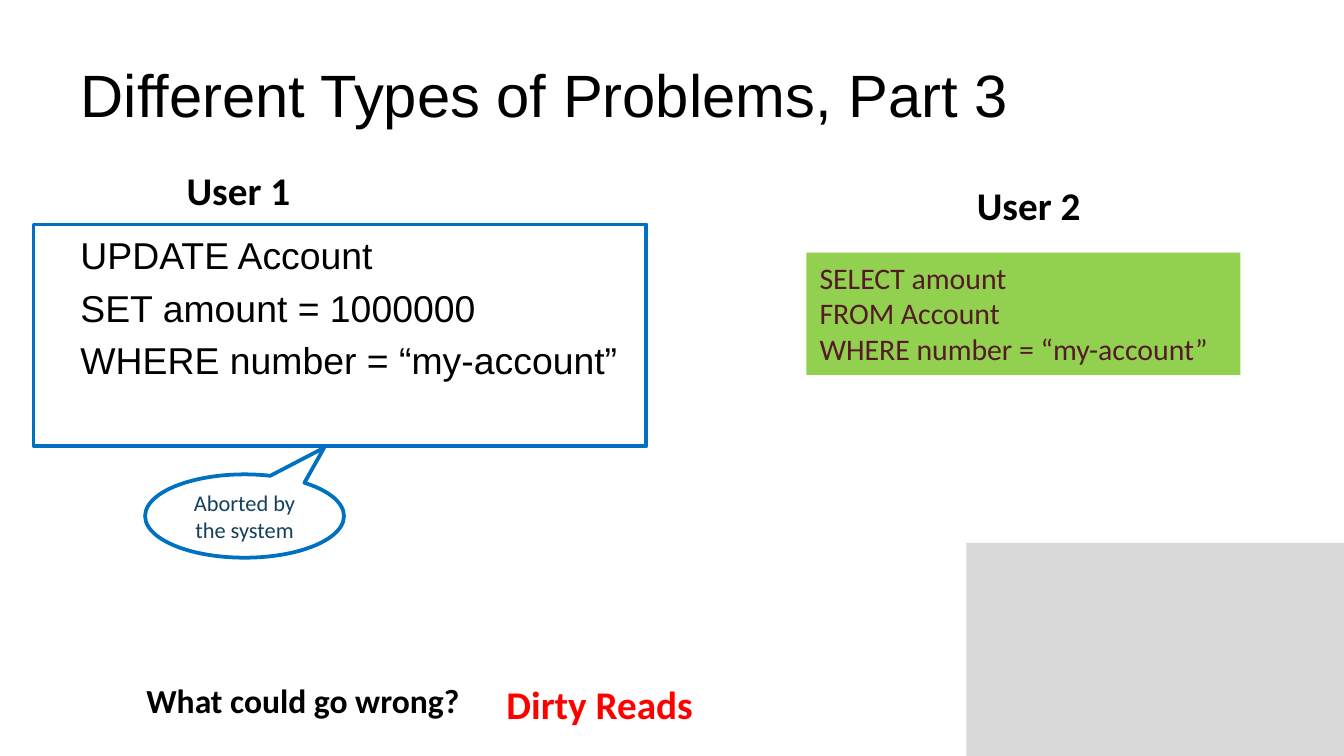
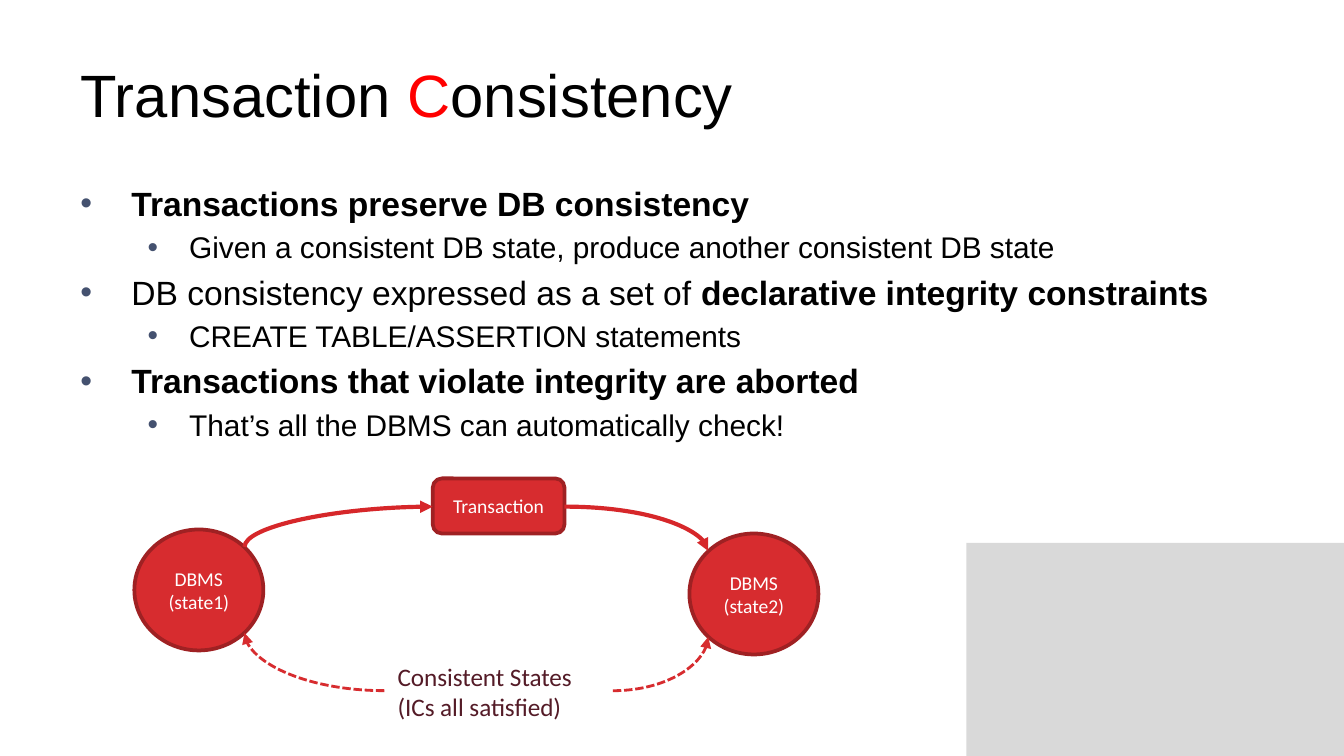
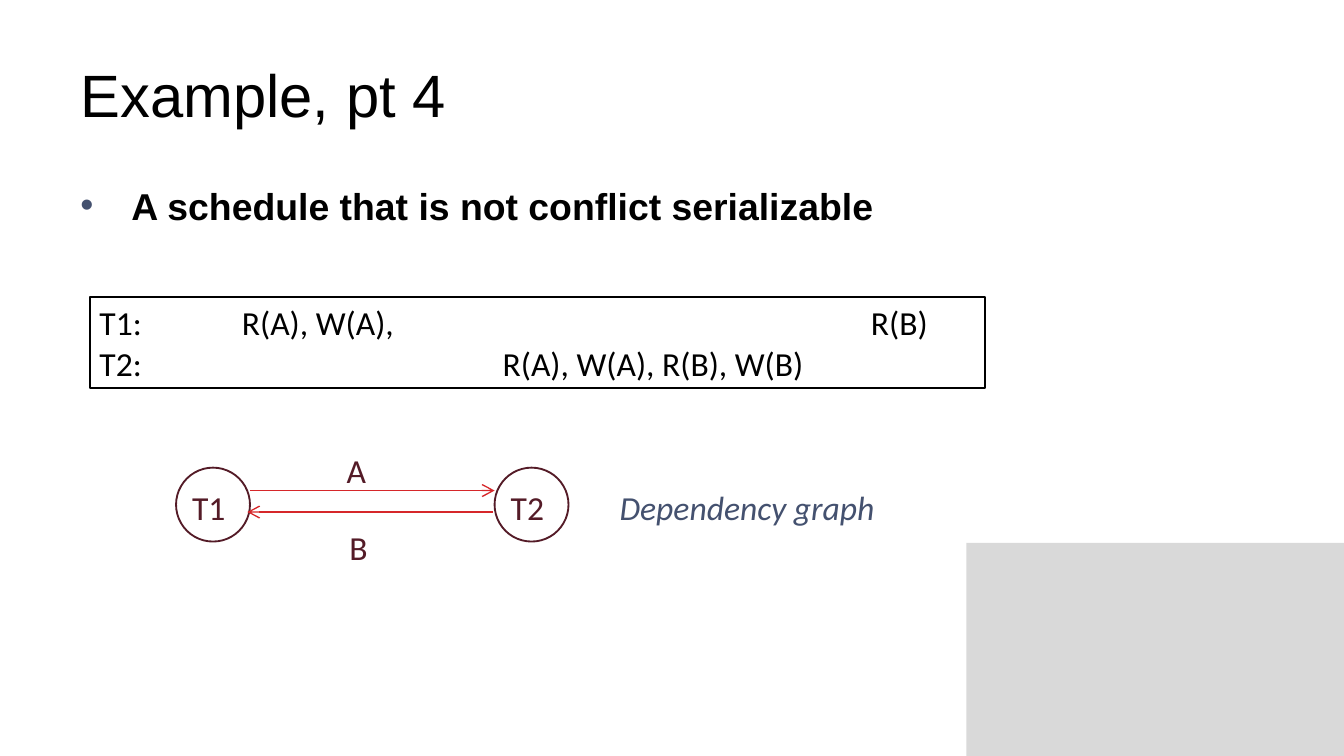
from lxml import etree
from pptx import Presentation
from pptx.dml.color import RGBColor
from pptx.enum import dml, shapes as sh, text as tx
from pptx.oxml.ns import qn
from pptx.util import Inches, Pt

HUES = {
    "black": "000000", "white": "FFFFFF", "grey": "D9D9D9", "alert": "FF0000",
    "blue": "0070C0", "navy": "14405C", "green": "92D050", "wine": "541B27",
    "slate": "44516F", "red": "D72C2F", "edge": "9F2123", "arrow": "D6272A",
}
# Shared text formats
TITLE = dict(name="Arial", size=32, hue="black")
BODY = dict(TITLE, size=20)
LABEL = dict(name="Calibri", size=18, hue="black")
HEAD = dict(LABEL, size=21, bold=True)
CODE = dict(LABEL, size=16, hue="wine")
NODE = dict(LABEL, size=10.5, hue="white")
MARK = dict(LABEL, hue="wine")
BOLD = {"bold": True}
TIGHT = (0.07, 0.04)
KIND = sh.MSO_SHAPE
MID = tx.MSO_ANCHOR.MIDDLE
LEFT, CENTER = tx.PP_ALIGN.LEFT, tx.PP_ALIGN.CENTER


def rgb(hue):
    return RGBColor.from_string(HUES[hue])


def style(font, form):
    for key, val in form.items():
        if key == "hue":
            font.color.rgb = rgb(val)
        else:
            setattr(font, key, Pt(val) if key == "size" else val)


def write(frame, paras, form, align=LEFT, anchor=tx.MSO_ANCHOR.TOP,
          wrap=True, pad=(0.1, 0.05)):
    """Each paragraph is a string or a list of (string, changes) runs."""
    frame.word_wrap = wrap
    frame.vertical_anchor = anchor
    frame.margin_left = frame.margin_right = Inches(pad[0])
    frame.margin_top = frame.margin_bottom = Inches(pad[1])
    for num, para in enumerate(paras):
        line = frame.add_paragraph() if num else frame.paragraphs[0]
        line.alignment = align
        for words, diff in [(para, {})] if isinstance(para, str) else para:
            run = line.add_run()
            run.text = words
            style(run.font, {**form, **diff})
    return frame.paragraphs


def label(slide, box, paras, form, **opts):
    area = slide.shapes.add_textbox(*map(Inches, box))
    return write(area.text_frame, paras, form, **opts)


def shape(slide, kind, box, fill=None, line=None, width=1):
    item = slide.shapes.add_shape(kind, *map(Inches, box))
    item.shadow.inherit = False
    if fill:
        item.fill.solid()
        item.fill.fore_color.rgb = rgb(fill)
    else:
        item.fill.background()
    if line:
        item.line.color.rgb = rgb(line)
        item.line.width = Pt(width)
    else:
        item.line.fill.background()
    return item


def arrow(slide, start, end, hue="arrow", width=0.75, tip="arrow",
          side="tailEnd", curve=False, dash=False):
    kind = sh.MSO_CONNECTOR.CURVE if curve else sh.MSO_CONNECTOR.STRAIGHT
    link = slide.shapes.add_connector(kind, *map(Inches, start + end))
    link.line.color.rgb = rgb(hue)
    link.line.width = Pt(width)
    if dash:
        link.line.dash_style = dml.MSO_LINE.SQUARE_DOT
    props = link._element.spPr
    if curve:  # quarter arc: leaves level, arrives upright
        props.find(qn("a:prstGeom")).set("prst", "curvedConnector2")
    etree.SubElement(props.find(qn("a:ln")), qn("a:" + side), type=tip)
    etree.SubElement(props, qn("a:effectLst"))


def bullet(para, left, hang):
    props = para._p.get_or_add_pPr()
    props.set("marL", str(Inches(left)))
    props.set("indent", str(-Inches(hang)))
    tint = etree.SubElement(props, qn("a:buClr"))
    etree.SubElement(tint, qn("a:srgbClr"), val=HUES["slate"])
    etree.SubElement(props, qn("a:buFont"), typeface="Arial")
    etree.SubElement(props, qn("a:buChar"), char="•")


def tabs(para, stops):
    group = etree.SubElement(para._p.get_or_add_pPr(), qn("a:tabLst"))
    for stop in stops:
        etree.SubElement(group, qn("a:tab"), pos=str(Inches(stop)), algn="l")


def points(slide, box, items):
    """Items are (level, size, runs)."""
    paras = [[(words, dict(diff, size=size)) for words, diff in runs]
             for _, size, runs in items]
    lines = label(slide, box, paras, BODY)
    for num, (line, (level, size, _)) in enumerate(zip(lines, items)):
        bullet(line, *((0.81, 0.31) if level else (0.38, 0.38)))
        if num:
            line.space_before = Pt(size / 5)


def base(deck, runs):
    """Title and corner block that every slide has."""
    slide = deck.slides.add_slide(deck.slide_layouts[5])
    shape(slide, KIND.RECTANGLE, (7.19, 4.04, 2.81, 1.59), "grey")
    head = slide.shapes.title
    for key, val in zip(("left", "top", "width", "height"),
                        (0.5, 0.23, 9, 0.94)):
        setattr(head, key, Inches(val))
    write(head.text_frame, [runs], TITLE, anchor=MID)
    return slide


# Slide 1: two users
def writer(slide, x, y):
    lines = label(slide, (x + 0.25, y + 0.49, 9, 3.71),
                  ["UPDATE Account", "SET amount = 1000000",
                   "WHERE number = “my-account”"], BODY)
    for line in lines[1:]:
        line.space_before = Pt(4)
    label(slide, (x + 1.04, y, 0.98, 0.45), ["User 1"], HEAD, wrap=False)
    shape(slide, KIND.RECTANGLE, (x, y + 0.48, 4.56, 1.65), None, "blue", 2)
    note = shape(slide, KIND.OVAL_CALLOUT, (x + 0.83, y + 2.34, 1.48, 0.62),
                 "white", "blue", 2)
    note.adjustments[0], note.adjustments[1] = 0.4, -0.82
    write(note.text_frame, ["Aborted by the system"],
          dict(LABEL, size=12, hue="navy"), align=CENTER, anchor=MID)


def reader(slide, x, y):
    label(slide, (x + 1.17, y, 0.98, 0.45), ["User 2"], HEAD, wrap=False)
    query = shape(slide, KIND.RECTANGLE, (x, y + 0.58, 3.23, 0.91), "green")
    write(query.text_frame, ["SELECT amount", "FROM Account",
                             "WHERE number = “my-account”"], CODE)


def problem(deck):
    slide = base(deck, "Different Types of Problems, Part 3")
    writer(slide, 0.25, 1.19)
    reader(slide, 6, 1.3)
    label(slide, (0.99, 5.01, 2.55, 0.4), ["What could go wrong?"],
          dict(LABEL, bold=True), wrap=False)
    label(slide, (3.67, 5.01, 1.61, 0.45), ["Dirty Reads"],
          dict(HEAD, hue="alert"), wrap=False)


# Slide 2: states before and after a transaction
def states(slide, x, y):
    nodes = [
        (KIND.OVAL, (0, 0.38, 0.96, 0.9), ["DBMS", "(state1)"]),
        (KIND.ROUNDED_RECTANGLE, (2.22, 0, 0.98, 0.41), ["Transaction"]),
        (KIND.OVAL, (4.13, 0.41, 0.96, 0.9), ["DBMS", "(state2)"]),
    ]
    for kind, (left, top, wide, high), words in nodes:
        node = shape(slide, kind, (x + left, y + top, wide, high),
                     "red", "edge", 2)
        write(node.text_frame, words, NODE, align=CENTER, anchor=MID)
    label(slide, (x + 1.86, y + 1.31, 1.57, 0.57),
          ["Consistent States", "(ICs all satisfied)"],
          dict(MARK, size=13.5), wrap=False)
    # Solid arcs beside the transaction, dashed arcs beside the caption
    solid = dict(width=2.25, tip="triangle", curve=True)
    dashed = dict(solid, width=1.5, hue="red", dash=True)
    arcs = [
        ((2.22, 0.21), (0.82, 0.51), dict(solid, side="headEnd")),
        ((3.2, 0.21), (4.27, 0.54), solid),
        ((1.86, 1.58), (0.82, 1.15), dashed),
        ((3.56, 1.58), (4.27, 1.18), dashed),
    ]
    for (left, top), (right, low), form in arcs:
        arrow(slide, (x + left, y + top), (x + right, y + low), **form)


def consistency(deck):
    slide = base(deck, [("Transaction ", {}), ("C", {"hue": "alert"}),
                        ("onsistency", {})])
    points(slide, (0.5, 1.31, 9, 3.71), [
        (0, 18, [("Transactions preserve DB consistency", BOLD)]),
        (1, 16, [("Given a consistent DB state, produce another "
                  "consistent DB state", {})]),
        (0, 18, [("DB consistency expressed as a set of ", {}),
                 ("declarative integrity constraints", BOLD)]),
        (1, 16, [("CREATE TABLE/ASSERTION statements", {})]),
        (0, 18, [("Transactions that violate integrity are aborted", BOLD)]),
        (1, 16, [("That’s all the DBMS can automatically check!", {})]),
    ])
    states(slide, 1, 3.56)


# Slide 3: schedule and its dependency graph
def schedule(slide, x, y):
    box = shape(slide, KIND.RECTANGLE, (x, y, 6.66, 0.68), "white", "black")
    lines = write(box.text_frame, ["T1:\tR(A), W(A),\tR(B)",
                                   "T2:\tR(A), W(A), R(B), W(B)"],
                  LABEL, anchor=MID, pad=TIGHT)
    for line, stops in zip(lines, [(1.06, 5.74), (3,)]):
        tabs(line, stops)


def graph(slide, x, y):
    for name, left in (("T1", 0), ("T2", 2.37)):
        shape(slide, KIND.OVAL, (x + left, y + 0.17, 0.55, 0.55),
              None, "wine")
        label(slide, (x + left + 0.05, y + 0.27, 0.4, 0.38), [name], MARK,
              wrap=False, pad=TIGHT)
    for name, left, top in (("A", 1.2, 0), ("B", 1.22, 0.57)):
        label(slide, (x + left, y + top, 0.3, 0.38), [name], MARK,
              wrap=False, pad=TIGHT)
    label(slide, (x + 3.23, y + 0.27, 2.07, 0.38), ["Dependency graph"],
          dict(LABEL, hue="slate", italic=True), wrap=False, pad=TIGHT)
    arrow(slide, (x + 0.55, y + 0.34), (x + 2.37, y + 0.34))
    arrow(slide, (x + 2.36, y + 0.5), (x + 0.53, y + 0.5))


def example(deck):
    slide = base(deck, "Example, pt 4")
    points(slide, (0.5, 1.31, 9, 3.71), [
        (0, 20, [("A schedule that is not conflict serializable", BOLD)]),
    ])
    schedule(slide, 0.67, 2.21)
    graph(slide, 1.31, 3.31)


def main():
    deck = Presentation()
    deck.slide_width = Inches(10)
    deck.slide_height = deck.slide_width * 9 // 16
    problem(deck)
    consistency(deck)
    example(deck)
    deck.save("out.pptx")


if __name__ == "__main__":
    main()
